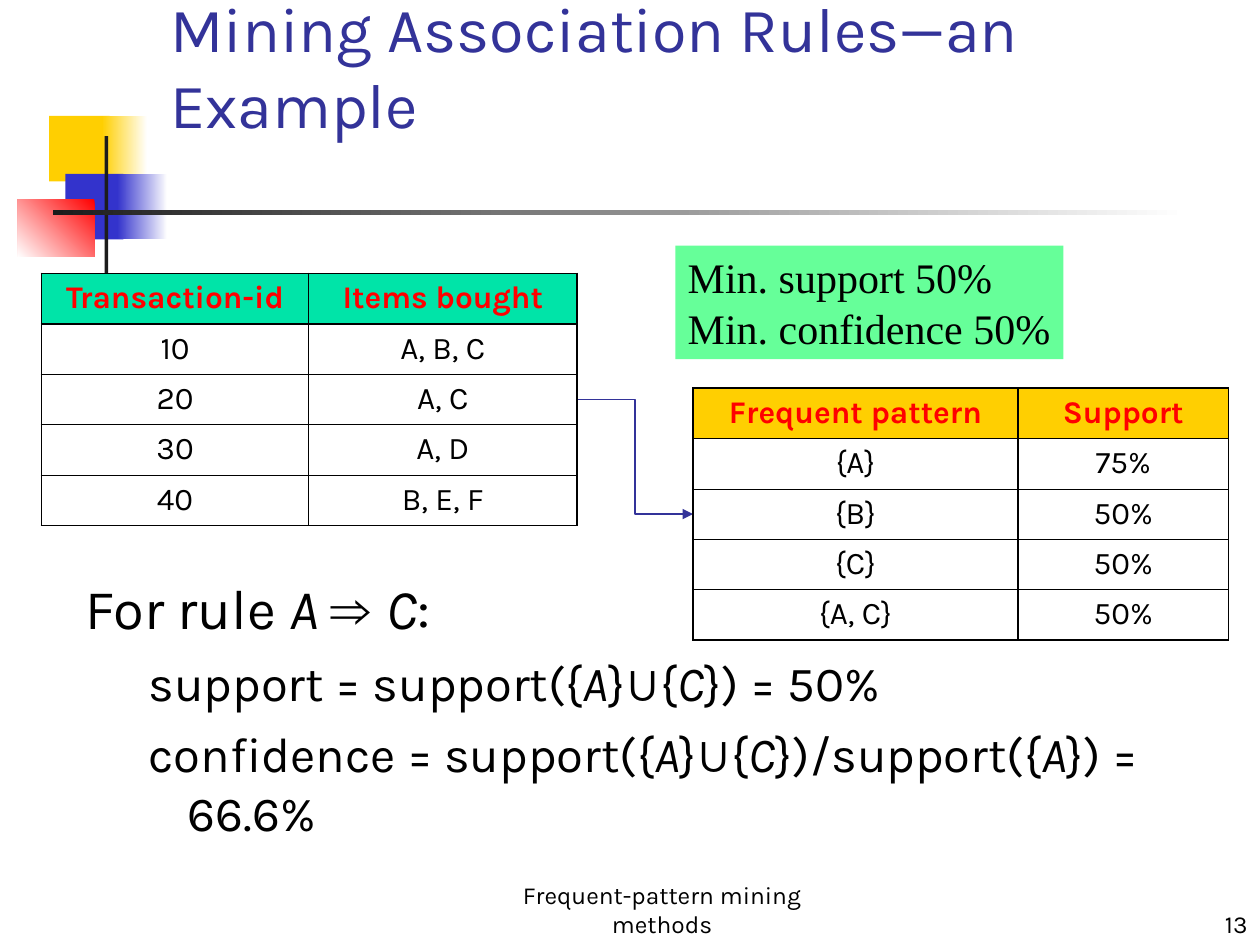
"""Build the association-rules example slide."""
from lxml import etree
from pptx import Presentation, oxml, util as u
from pptx.dml.color import RGBColor
from pptx.enum import shapes, text
from pptx.oxml.ns import qn

COLORS = {"ink": "000000", "charcoal": "1C1C1C", "white": "FFFFFF", "gold": "FFCF01",
          "blue": "3333CC", "navy": "333399", "red": "FF0000", "mint": "00E4A8",
          "green": "66FF99"}
LEFT, CENTER, RIGHT = text.PP_ALIGN.LEFT, text.PP_ALIGN.CENTER, text.PP_ALIGN.RIGHT
TOP, MIDDLE, BOTTOM = (text.MSO_ANCHOR.TOP, text.MSO_ANCHOR.MIDDLE,
                       text.MSO_ANCHOR.BOTTOM)


def rgb(name):
    return RGBColor.from_string(COLORS[name])


def inches(*lengths):
    return [u.Inches(length) for length in lengths]


class RuleSlide:
    """Holds the slide and the style of its elements."""
    face, symbol_face, note_face = "Karla", "Arial", "Times New Roman"

    def __init__(self, deck):
        self.slide = deck.slides.add_slide(deck.slide_layouts[1])
        self.shapes = self.slide.shapes

    def style(self, font, size, color="ink", face=None, bold=False, italic=False):
        font.name, font.size = face or self.face, u.Pt(size)
        font.bold, font.italic = bold, italic
        font.color.rgb = rgb(color)

    def fill_frame(self, frame, words, size, color="ink", face=None, align=LEFT,
                   anchor=TOP, wrap=True):
        frame.text = words
        frame.word_wrap, frame.vertical_anchor = wrap, anchor
        frame.auto_size = text.MSO_AUTO_SIZE.NONE
        for paragraph in frame.paragraphs:
            paragraph.alignment, paragraph.space_before = align, u.Pt(0)
            for run in paragraph.runs:
                self.style(run.font, size, color, face)

    def place(self, holder, box):
        holder.left, holder.top, holder.width, holder.height = inches(*box)

    def title(self, box, words):
        heading = self.shapes.title
        self.place(heading, box)
        self.fill_frame(heading.text_frame, words, 36, "navy", anchor=BOTTOM)

    def body(self, box, lines):
        holder = self.slide.placeholders[1]
        self.place(holder, box)
        frame = holder.text_frame
        frame.auto_size = text.MSO_AUTO_SIZE.NONE
        for number, line in enumerate(lines):
            paragraph = frame.add_paragraph() if number else frame.paragraphs[0]
            paragraph.level = 1 if number else 0
            margin, hang, size = (0.81, 0.31, 28) if number else (0.38, 0.38, 32)
            properties = paragraph._p.get_or_add_pPr()
            properties.set("marL", str(u.Inches(margin)))
            properties.set("indent", str(u.Inches(-hang)))
            paragraph.space_before = u.Pt(7 if number else 0)
            etree.SubElement(properties, qn("a:buNone"))
            for piece in line.split("|"):
                run = paragraph.add_run()
                run.text = piece
                symbol = piece.strip() in ("⇒", "∪")
                self.style(run.font, size, face=self.symbol_face if symbol else None,
                           italic=piece.strip() in ("A", "C"))

    def block(self, box, color, fade_to=None, angle=0):
        rect = self.shapes.add_shape(shapes.MSO_SHAPE.RECTANGLE, *inches(*box))
        rect.shadow.inherit = False
        rect.line.fill.background()
        if fade_to:
            rect.fill.gradient()
            rect.fill.gradient_angle = angle
            for stop, name in zip(rect.fill.gradient_stops, (color, fade_to)):
                stop.color.rgb = rgb(name)
        else:
            rect.fill.solid()
            rect.fill.fore_color.rgb = rgb(color)
        return rect

    def note(self, box, words):
        panel = self.block(box, "green")
        self.fill_frame(panel.text_frame, words, 24, face=self.note_face,
                        anchor=MIDDLE, wrap=False)

    def label(self, box, words, align):
        caption = self.shapes.add_textbox(*inches(*box))
        self.fill_frame(caption.text_frame, words, 14, align=align, anchor=BOTTOM)

    def arrow(self, start, end):
        elbow = self.shapes.add_connector(shapes.MSO_CONNECTOR.ELBOW,
                                          *inches(*start, *end))
        elbow.line.color.rgb, elbow.line.width = rgb("navy"), u.Pt(0.75)
        etree.SubElement(elbow.line._get_or_add_ln(), qn("a:tailEnd"), type="triangle")
        etree.SubElement(elbow._element.spPr, qn("a:effectLst"))

    def border(self, cell, side, width):
        cell._tc.get_or_add_tcPr().append(oxml.parse_xml(
            f'<a:{side} xmlns:a="http://schemas.openxmlformats.org/drawingml/2006/main" '
            f'w="{u.Pt(width)}"><a:solidFill><a:srgbClr val="{COLORS["ink"]}"/>'
            f'</a:solidFill></a:{side}>'))

    def table(self, corner, widths, header_color, rows, row_height=0.4):
        size = sum(widths), row_height * len(rows)
        grid = self.shapes.add_table(len(rows), len(widths),
                                     *inches(*corner, *size)).table
        grid.first_row = grid.horz_banding = False
        for column, width in zip(grid.columns, widths):
            column.width = u.Inches(width)
        thick, thin = 1.08, 0.45
        for r, row in enumerate(rows):
            grid.rows[r].height = u.Inches(row_height)
            top = thick if r <= 1 else thin
            bottom = thick if r in (0, len(rows) - 1) else thin
            for c, words in enumerate(row):
                cell = grid.cell(r, c)
                cell.text = words
                paragraph = cell.text_frame.paragraphs[0]
                paragraph.alignment = CENTER
                self.style(paragraph.runs[0].font, 18, "ink" if r else "red",
                           bold=r == 0)
                for side, width in (("lnL", thick), ("lnR", thick),
                                    ("lnT", top), ("lnB", bottom)):
                    self.border(cell, side, width)
                if r:
                    cell.fill.background()
                else:
                    cell.fill.solid()
                    cell.fill.fore_color.rgb = rgb(header_color)


def main():
    deck = Presentation()
    deck.slide_width, deck.slide_height = inches(10, 7.5)
    page = RuleSlide(deck)

    page.block((0.39, 0.92, 0.48, 0.52), "gold")
    page.block((0.81, 0.92, 0.36, 0.52), "white", "gold", 180)
    page.block((0.52, 1.38, 0.46, 0.52), "blue")
    page.block((0.93, 1.38, 0.4, 0.52), "white", "blue", 180)
    page.block((0.14, 1.58, 0.61, 0.46), "red", "white", 225)
    page.block((0.83, 1.08, 0.03, 1.15), "charcoal")
    page.block((0.42, 1.67, 9, 0.04), "white", "charcoal", 180)

    page.title((1.25, 0.42, 8.75, 0.75), "Mining Association Rules—an Example")
    page.body((0.58, 4.5, 9.09, 2.34), [
        "For rule |A |⇒ |C|:",
        "support = support({|A|}|∪|{|C|}) = 50%",
        "confidence = support({|A|}|∪|{|C|})/support({|A|}) = 66.6%"])
    page.note((5.36, 1.95, 3.08, 0.9), "Min. support 50%\nMin. confidence 50%")
    page.arrow((4.58, 3.17), (5.5, 4.08))
    page.table((0.33, 2.17), (2.12, 2.13), "mint", [
        ("Transaction-id", "Items bought"), ("10", "A, B, C"), ("20", "A, C"),
        ("30", "A, D"), ("40", "B, E, F")])
    page.table((5.5, 3.08), (2.58, 1.67), "gold", [
        ("Frequent pattern", "Support"), ("{A}", "75%"), ("{B}", "50%"),
        ("{C}", "50%"), ("{A, C}", "50%")])
    page.label((3.67, 7, 3.17, 0.5), "Frequent-pattern mining methods", CENTER)
    page.label((7.92, 7, 2.08, 0.5), "13", RIGHT)
    deck.save("out.pptx")


if __name__ == "__main__":
    main()
